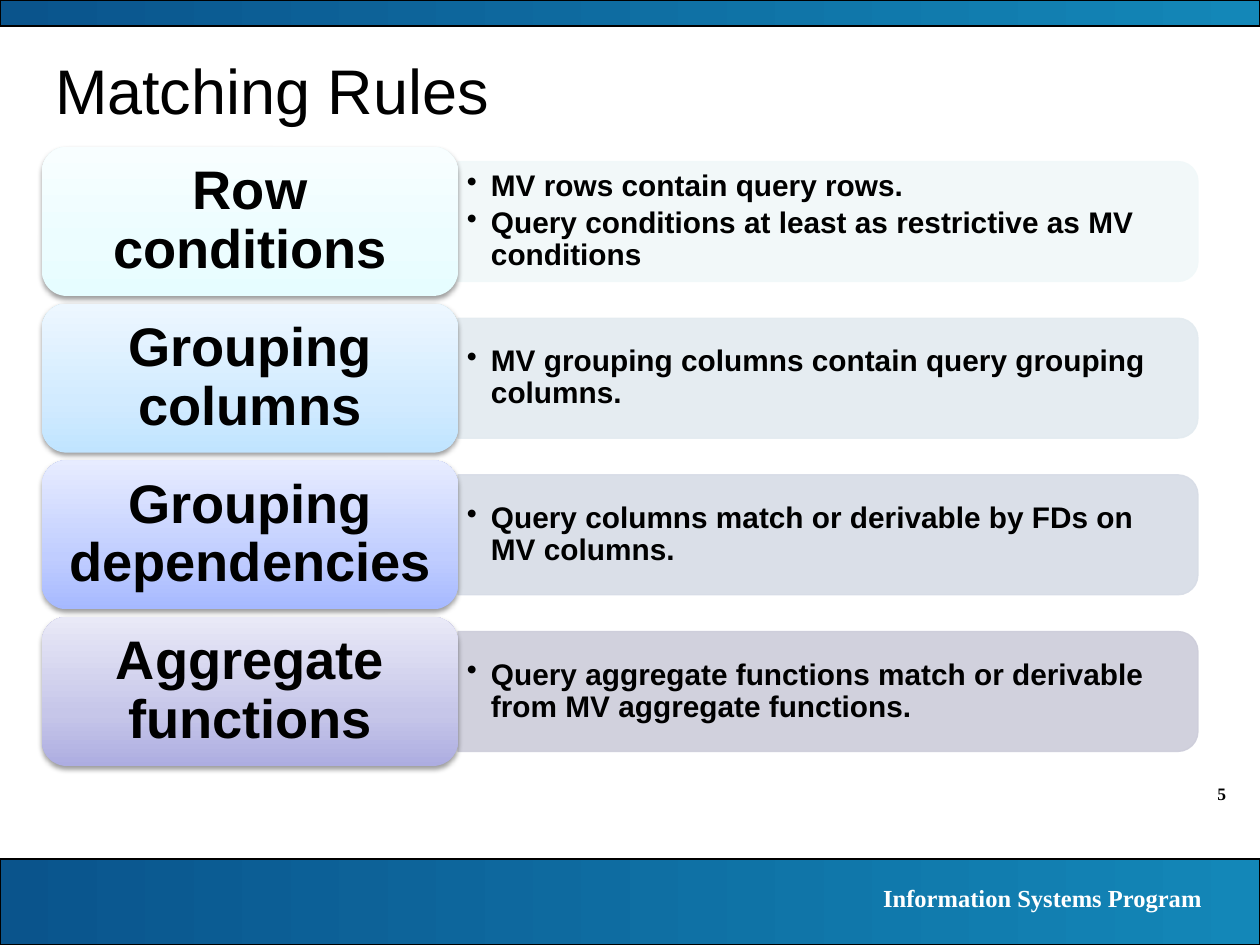
"""Build the Matching Rules slide: four labelled rule panels between two gradient bars."""
from lxml.etree import SubElement
from pptx import Presentation
from pptx.dml.color import RGBColor
from pptx.enum.shapes import MSO_SHAPE
from pptx.enum.text import MSO_ANCHOR, PP_ALIGN
from pptx.oxml.ns import qn
from pptx.util import Emu, Pt

TITLE = "Matching Rules"
FOOTER = "Information Systems Program"
SLIDE_NUMBER = "5"
RULES = [
    {"label": "Row conditions",
     "bullets": ["MV rows contain query rows.",
                 "Query conditions at least as restrictive as MV conditions"],
     "panel": "F1F8F9", "gradient": [(0, "E6FDFF"), (35, "ECFDFF"), (100, "F8FEFF")]},
    {"label": "Grouping columns",
     "bullets": ["MV grouping columns contain query grouping columns."],
     "panel": "E3EBF0", "gradient": [(0, "C0E4FF"), (35, "D2EBFF"), (100, "EDF7FF")]},
    {"label": "Grouping dependencies",
     "bullets": ["Query columns match or derivable by FDs on MV columns."],
     "panel": "D7DCE6", "gradient": [(0, "A6B9FF"), (35, "C0CDFF"), (100, "E7ECFF")]},
    {"label": "Aggregate functions",
     "bullets": ["Query aggregate functions match or derivable from MV aggregate functions."],
     "panel": "CDCDDA", "gradient": [(0, "ADADE1"), (35, "C6C6E9"), (100, "E9E9F7")]},
]
BAR_GRADIENT = [(0, "0A548C"), (100, "1387B8")]
BARS = [(0, 0, 1260, 26), (0, 859, 1260, 86)]
FIRST_TOP, PITCH = 147, 470 / 3
LABEL_LEFT, LABEL_WIDTH, LABEL_HEIGHT = 42, 416, 149
PANEL_LEFT, PANEL_WIDTH, PANEL_HEIGHT = 458, 740, 120
BULLET_WIDTH, BULLET_HEIGHT, BULLET_INDENT = 733, 107, 24


def px(length):
    return Emu(round(length * 914400 / 126))


def color(value):
    return RGBColor.from_string(value)


def write(shape, texts, size, font="Arial", bold=True, fill="000000", align=PP_ALIGN.LEFT,
          anchor=MSO_ANCHOR.MIDDLE, insets=(13, 6), line_spacing=1.0, space_after=0, bullet=False):
    frame = shape.text_frame
    frame.word_wrap = True
    frame.vertical_anchor = anchor
    frame.margin_left = frame.margin_right = px(insets[0])
    frame.margin_top = frame.margin_bottom = px(insets[1])
    for index, text in enumerate(texts):
        paragraph = frame.add_paragraph() if index else frame.paragraphs[0]
        paragraph.alignment = align
        paragraph.line_spacing = line_spacing
        paragraph.space_after = Pt(space_after)
        run = paragraph.add_run()
        run.text = text
        run.font.name, run.font.size, run.font.bold = font, Pt(size), bold
        run.font.color.rgb = color(fill)
        if bullet:
            properties = paragraph._p.get_or_add_pPr()
            properties.set("marL", str(px(BULLET_INDENT)))
            properties.set("indent", str(-px(BULLET_INDENT)))
            SubElement(properties, qn("a:buChar"), char="•")


def add_box(slide, left, top, width, height):
    return slide.shapes.add_textbox(px(left), px(top), px(width), px(height))


def add_plain_shape(slide, kind, left, top, width, height):
    shape = slide.shapes.add_shape(kind, px(left), px(top), px(width), px(height))
    shape.shadow.inherit = False
    return shape


def set_gradient(shape, stops, angle):
    shape.fill.gradient()
    shape.fill.gradient_angle = angle
    stop_list = shape._element.spPr.find(".//" + qn("a:gsLst"))
    for old_stop in list(stop_list):
        stop_list.remove(old_stop)
    for position, value in stops:
        stop = SubElement(stop_list, qn("a:gs"), pos=str(position * 1000))
        SubElement(stop, qn("a:srgbClr"), val=value)


def add_shadow(shape):
    effects = shape._element.spPr.find(qn("a:effectLst"))
    shadow = SubElement(effects, qn("a:outerShdw"), blurRad="40000", dist="20000",
                        dir="5400000", rotWithShape="0")
    shade = SubElement(shadow, qn("a:srgbClr"), val="000000")
    SubElement(shade, qn("a:alpha"), val="38000")


def add_bar(slide, bounds):
    bar = add_plain_shape(slide, MSO_SHAPE.RECTANGLE, *bounds)
    set_gradient(bar, BAR_GRADIENT, 0)
    bar.line.color.rgb = color("000000")
    bar.line.width = Pt(0.75)


def add_panel(slide, top, value):
    left = PANEL_LEFT + (PANEL_WIDTH - PANEL_HEIGHT) / 2
    turned_top = top - (PANEL_WIDTH - PANEL_HEIGHT) / 2
    panel = add_plain_shape(slide, MSO_SHAPE.ROUND_2_SAME_RECTANGLE,
                            left, turned_top, PANEL_HEIGHT, PANEL_WIDTH)
    panel.rotation = 90
    panel.fill.solid()
    panel.fill.fore_color.rgb = panel.line.color.rgb = color(value)
    panel.line.width = Pt(0.75)
    for shade in panel._element.spPr.iter(qn("a:srgbClr")):
        SubElement(shade, qn("a:alpha"), val="90000")


def add_rule(slide, top, rule):
    middle = top + LABEL_HEIGHT / 2
    add_panel(slide, middle - PANEL_HEIGHT / 2, rule["panel"])
    bullets = add_box(slide, PANEL_LEFT, middle - BULLET_HEIGHT / 2, BULLET_WIDTH, BULLET_HEIGHT)
    write(bullets, rule["bullets"], 17, insets=(9, 5), line_spacing=0.9,
          space_after=2.5, bullet=True)
    label = add_plain_shape(slide, MSO_SHAPE.ROUNDED_RECTANGLE,
                            LABEL_LEFT, top, LABEL_WIDTH, LABEL_HEIGHT)
    set_gradient(label, rule["gradient"], 90)
    label.line.fill.background()
    add_shadow(label)
    write(label, [rule["label"]], 31, align=PP_ALIGN.CENTER, insets=(16, 8), line_spacing=0.9)


def main():
    presentation = Presentation()
    presentation.slide_width, presentation.slide_height = px(1260), px(945)
    slide = presentation.slides.add_slide(presentation.slide_layouts[5])
    title = slide.shapes.title
    title.left, title.top, title.width, title.height = px(42), px(42), px(1155), px(94)
    write(title, [TITLE], 36, bold=False)
    for bounds in BARS:
        add_bar(slide, bounds)
    write(add_box(slide, 1134, 777, 105, 34), [SLIDE_NUMBER], 10, font="Times New Roman",
          align=PP_ALIGN.RIGHT, anchor=MSO_ANCHOR.TOP)
    write(add_box(slide, 699, 877, 516, 43), [FOOTER], 14, font="Times New Roman",
          fill="FFFFFF", align=PP_ALIGN.RIGHT, anchor=MSO_ANCHOR.TOP)
    for index, rule in enumerate(RULES):
        add_rule(slide, FIRST_TOP + index * PITCH, rule)
    presentation.save("out.pptx")


if __name__ == "__main__":
    main()
